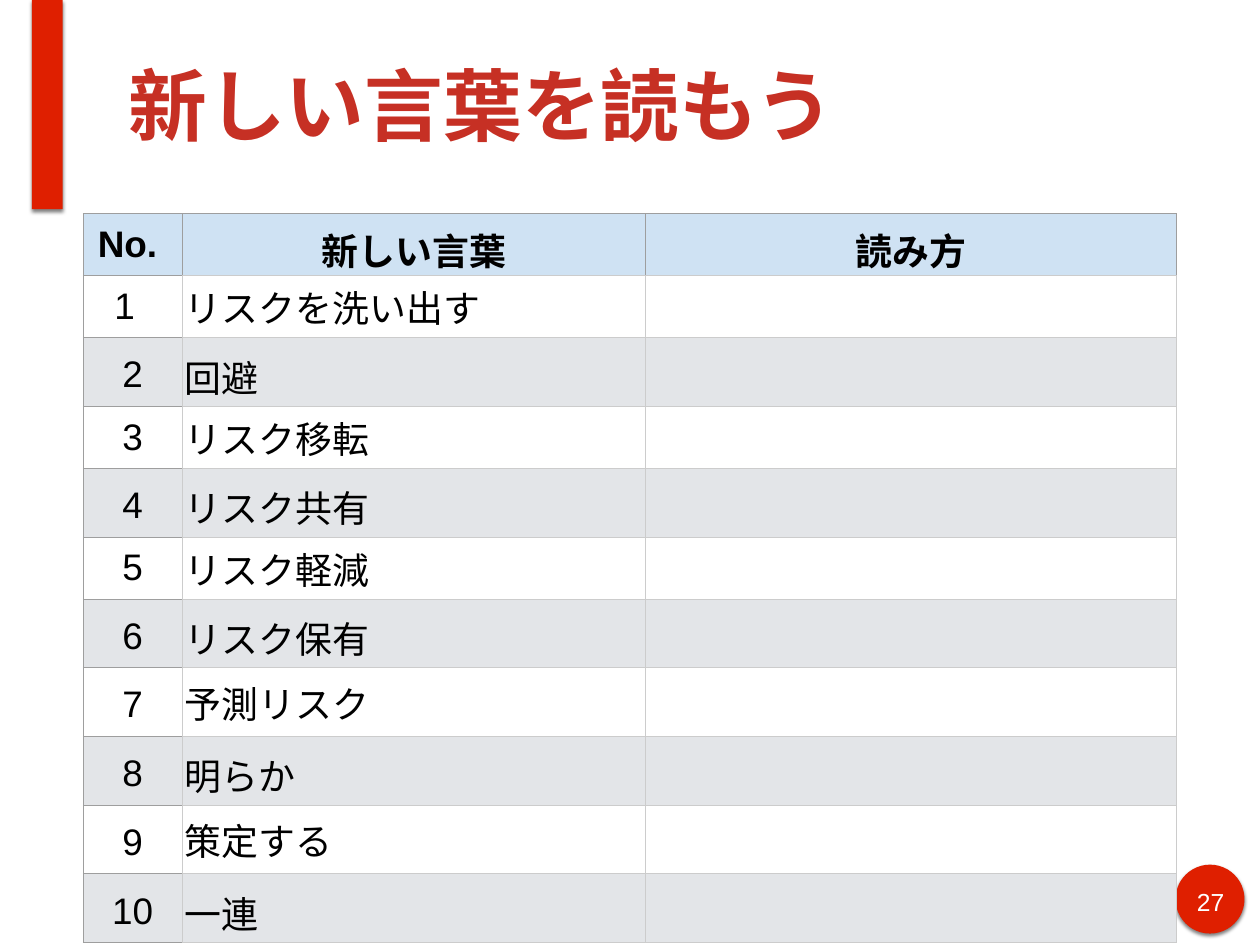
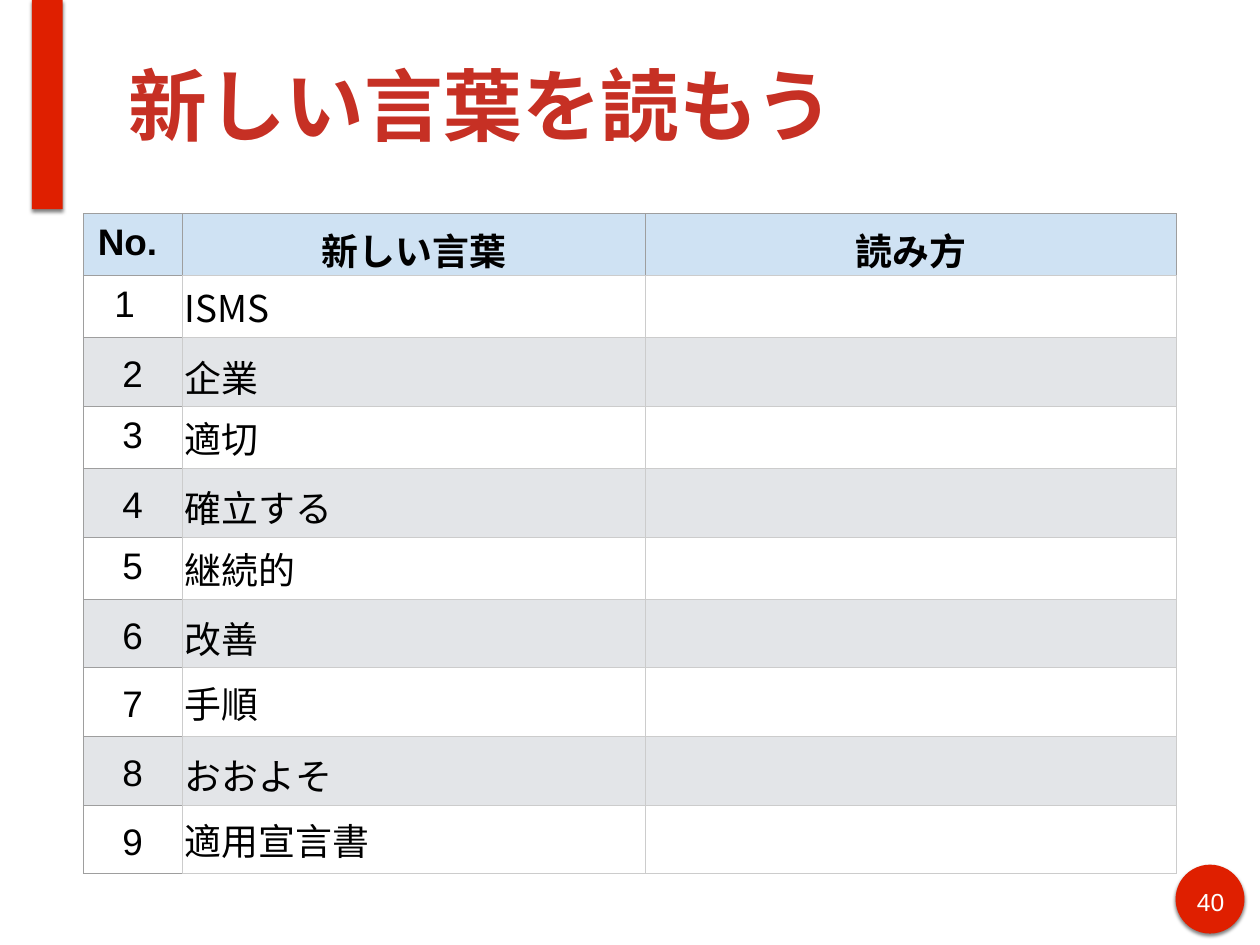
from lxml import etree
from pptx import Presentation
from pptx.dml.color import RGBColor
from pptx.enum.shapes import MSO_SHAPE
from pptx.enum.text import MSO_ANCHOR, PP_ALIGN
from pptx.oxml import parse_xml
from pptx.oxml.ns import nsdecls, qn
from pptx.util import Pt

OVAL, RECT = MSO_SHAPE.OVAL, MSO_SHAPE.RECTANGLE
TOP, MID = MSO_ANCHOR.TOP, MSO_ANCHOR.MIDDLE
LEFT, MIDDLE = PP_ALIGN.LEFT, PP_ALIGN.CENTER

# Shared look
RED, TITLE, BLACK, WHITE = "DF1F00", "C63024", "000000", "FFFFFF"
HEAD, BAND, GREY, PALE = "CFE2F3", "E3E5E8", "9E9E9E", "CCCCCC"
LATIN, KANJI = "Arial", "Noto Sans CJK JP"
WIDTHS = [80.3, 376.5, 431.6]
ROW = 49.6
MARKS = [(OVAL, 955.4, 702.7, 56, 56), (RECT, 26, 0, 25, 170)]
SHADOW = (f'<a:effectLst {nsdecls("a")}><a:outerShdw blurRad="38100" dist="23000" '
          'dir="5400000" rotWithShape="0"><a:srgbClr val="000000">'
          '<a:alpha val="49000"/></a:srgbClr></a:outerShdw></a:effectLst>')

# Content: page number, words, rows whose number sits at the top
HEADS = ["No. ", "新しい言葉", "読み方"]
PAGES = [
    ("27", ["リスクを洗い出す", "回避", "リスク移転", "リスク共有", "リスク軽減",
            "リスク保有", "予測リスク", "明らか", "策定する", "一連"], []),
    ("40", ["ISMS", "企業", "適切", "確立する", "継続的",
            "改善", "手順", "おおよそ", "適用宣言書"], [0, 1, 3, 5]),
]


def color(code):
    return RGBColor.from_string(code)


def write(frame, text, size, code, bold=False, align=LEFT, font=LATIN):
    para = frame.paragraphs[0]
    para.alignment = align
    run = para.add_run()
    run.text = text
    run.font.size = Pt(size)
    run.font.bold = bold
    run.font.color.rgb = color(code)
    run.font.name = font
    etree.SubElement(run.font._element, qn("a:ea"), typeface=KANJI)
    return para


deck = Presentation()
deck.slide_width, deck.slide_height = Pt(1024), Pt(768)

for page, words, high in PAGES:
    slide = deck.slides.add_slide(deck.slide_layouts[6])
    shapes = slide.shapes

    # Red disc and side bar
    for kind, *box in MARKS:
        mark = shapes.add_shape(kind, *map(Pt, box))
        mark.fill.solid()
        mark.fill.fore_color.rgb = color(RED)
        mark.line.fill.background()
        mark._element.spPr.append(parse_xml(SHADOW))

    # Page number and title
    for text, box, size, code, bold, align, anchor in [
        (page, (966.2, 716.4, 35.3, 28), 20, WHITE, False, MIDDLE, TOP),
        ("新しい言葉を読もう", (100, 8.6, 874, 152.6), 64, TITLE, True, LEFT, MID),
    ]:
        frame = shapes.add_textbox(*map(Pt, box)).text_frame
        frame.word_wrap = True
        frame.vertical_anchor = anchor
        frame.margin_left = frame.margin_right = Pt(4.5)
        frame.margin_top = frame.margin_bottom = Pt(4.5)
        write(frame, text, size, code, bold, align)

    # Word table
    rows = [HEADS] + [[str(n), word, ""] for n, word in enumerate(words, 1)]
    table = shapes.add_table(len(rows), 3, Pt(67.7), Pt(173.5),
                             Pt(sum(WIDTHS)), Pt(ROW * len(rows))).table
    table.first_row = table.horz_banding = False
    for col, width in zip(table.columns, WIDTHS):
        col.width = Pt(width)

    for r, row in enumerate(rows):
        table.rows[r].height = Pt(ROW)
        even = r > 0 and r % 2 == 0
        for c, text in enumerate(row):
            cell = table.cell(r, c)
            head, first = r == 0, c == 0

            # Borders: dark round the heads and numbers, pale elsewhere
            dark = {"L": head or first or (c == 1 and head),
                    "R": head,
                    "T": head or first,
                    "B": first}
            props = cell._tc.get_or_add_tcPr()
            for side in "LRTB":
                line = etree.SubElement(props, qn(f"a:ln{side}"), w="9525")
                fill = etree.SubElement(line, qn("a:solidFill"))
                etree.SubElement(fill, qn("a:srgbClr"),
                                 val=GREY if dark[side] else PALE)

            cell.fill.solid()
            cell.fill.fore_color.rgb = color(HEAD if head else BAND if even else WHITE)
            if not text:
                continue

            # Text
            wide = head or first
            cell.margin_left = cell.margin_right = Pt(7.2 if wide else 2.2)
            cell.margin_top = cell.margin_bottom = Pt(7.2 if wide else 1.5)
            cell.vertical_anchor = TOP if wide and r in high else MID
            inset = first and r == 1
            para = write(cell.text_frame, text, 30, BLACK, head,
                         MIDDLE if wide and not inset else LEFT,
                         LATIN if wide or even else KANJI)
            if inset:
                para._p.get_or_add_pPr().set("marL", str(Pt(18)))
            if even or (first and r > 6):
                para.line_spacing = 1.15

deck.save("out.pptx")
